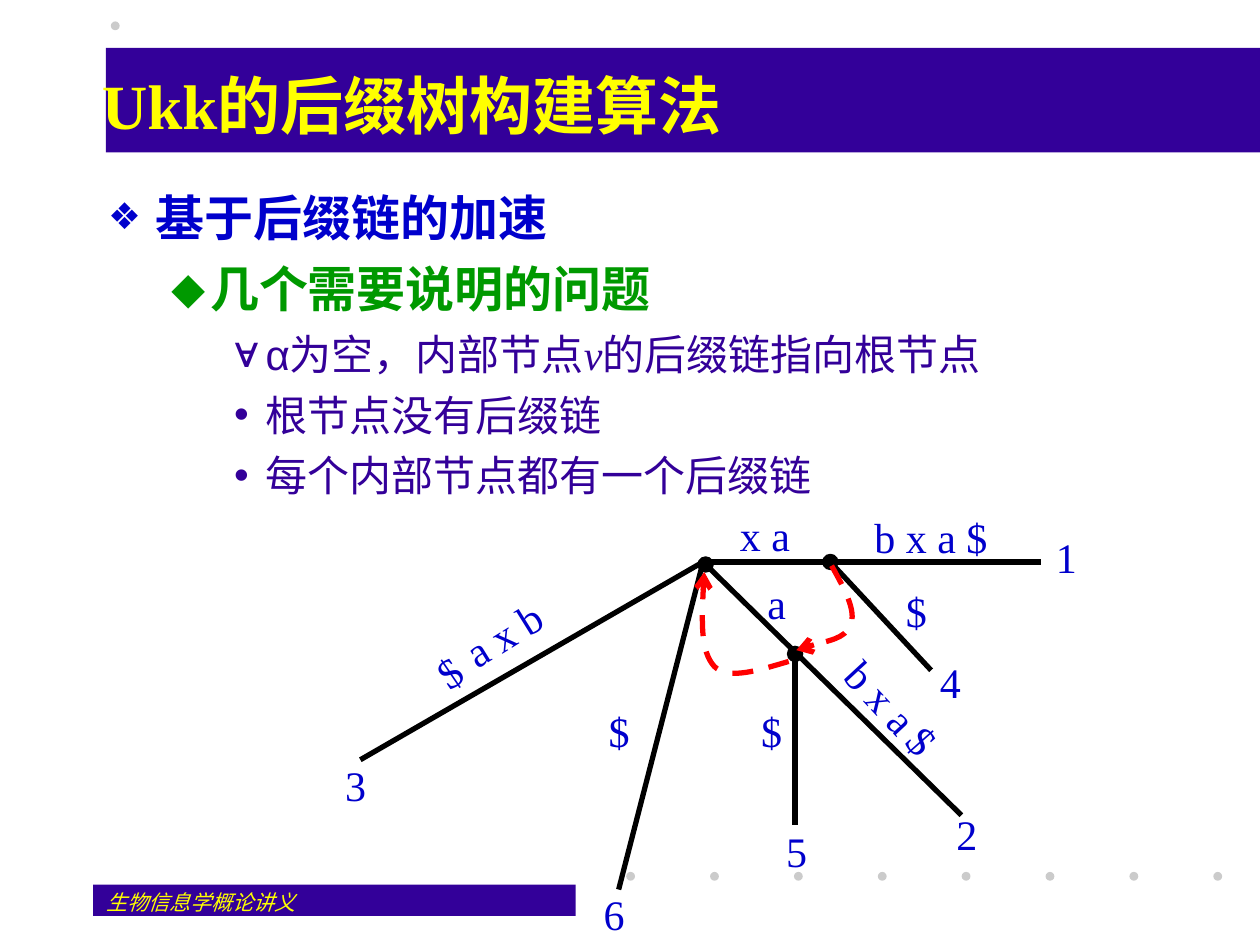
from lxml import etree
from pptx import Presentation, util as u
from pptx.dml.color import RGBColor
from pptx.enum import dml, shapes, text
from pptx.oxml.ns import qn

COLORS = {"indigo": "330099", "grey": "CBCBCB", "yellow": "FFFF00", "blue": "0000CC",
          "green": "009900", "black": "000000", "red": "FF0000"}
SERIF = "Times New Roman"


def rgb(name):
    return RGBColor.from_string(COLORS[name])


def write(box, pieces, size, color, align=None, bold=False, italic=False, margins=(0.1, 0.05), wrap=True):
    """Fill a text box with one paragraph in a single style."""
    frame = box.text_frame
    frame.word_wrap = wrap
    frame.margin_left = frame.margin_right = u.Inches(margins[0])
    frame.margin_top = frame.margin_bottom = u.Inches(margins[1])
    frame.text = pieces
    frame.paragraphs[0].alignment = align
    font = frame.paragraphs[0].runs[0].font
    font.name, font.size, font.bold, font.italic = SERIF, u.Pt(size), bold, italic
    font.color.rgb = rgb(color)
    return frame


prs = Presentation()
prs.slide_width, prs.slide_height = u.Inches(10), u.Inches(7.5)
slide = prs.slides.add_slide(prs.slide_layouts[6])
canvas = slide.shapes

# Bars and decorative dots
RECT, OVAL = shapes.MSO_SHAPE.RECTANGLE, shapes.MSO_SHAPE.OVAL
decor = [(RECT, 0.74, 7.02, 3.83, 0.25, "indigo"), (RECT, 0.84, 0.38, 9.16, 0.83, "indigo"),
         (OVAL, 0.88, 0.17, 0.07, 0.07, "grey")]
decor += [(OVAL, 4.97 + i * 4.66 / 7, 6.92, 0.07, 0.07, "grey") for i in range(8)]
for kind, left, top, width, height, color in decor:
    part = canvas.add_shape(kind, *map(u.Inches, (left, top, width, height)))
    part.shadow.inherit = False
    part.fill.solid()
    part.fill.fore_color.rgb = rgb(color)
    part.line.fill.background()

# Footer and title
footer = canvas.add_textbox(*map(u.Inches, (0.75, 7.01, 2.08, 0.25)))
write(footer, "生物信息学概论讲义", 12, "yellow", italic=True)
title = canvas.add_textbox(*map(u.Inches, (0.71, 0.33, 8.9, 1)))
write(title, "Ukk的后缀树构建算法", 36, "yellow", bold=True).vertical_anchor = text.MSO_ANCHOR.MIDDLE

# Outline: level, bullet, runs of (text, font, italic)
outline = [
    (0, "❖", [("基于后缀链的加速", SERIF, False)]),
    (1, "⬥", [("几个需要说明的问题", SERIF, False)]),
    (2, "∀", [("α", "Arial", False), ("为空，内部节点", SERIF, False), ("v", SERIF, True),
              ("的后缀链指向根节点", SERIF, False)]),
    (2, "•", [("根节点没有后缀链", SERIF, False)]),
    (2, "•", [("每个内部节点都有一个后缀链", SERIF, False)]),
]
# Level: indent, hanging, space before, bullet percent, size, colour, bold
levels = [(0.38, 0.38, 0, 75, 28, "blue", True),
          (0.81, 0.31, 7, 100, 28, "green", True),
          (1.25, 0.25, 6, 100, 24, "indigo", False)]
body = canvas.add_textbox(*map(u.Inches, (0.76, 1.44, 8.9, 5.38))).text_frame
body.word_wrap = True
for index, (level, bullet, pieces) in enumerate(outline):
    indent, hanging, before, percent, size, color, bold = levels[level]
    para = body.add_paragraph() if index else body.paragraphs[0]
    para.level = level
    para.space_before = u.Pt(before)
    props = para._p.get_or_add_pPr()
    props.set("marL", str(u.Inches(indent)))
    props.set("indent", str(-u.Inches(hanging)))
    bullet_color = etree.SubElement(props, qn("a:buClr"))
    etree.SubElement(bullet_color, qn("a:srgbClr"), val=COLORS[color])
    etree.SubElement(props, qn("a:buSzPct"), val=str(percent * 1000))
    etree.SubElement(props, qn("a:buFont"), typeface="Arial")
    etree.SubElement(props, qn("a:buChar"), char=bullet)
    for words, face, italic in pieces:
        run = para.add_run()
        run.text = words
        run.font.name, run.font.size = face, u.Pt(size)
        run.font.bold, run.font.italic = bold, italic
        run.font.color.rgb = rgb(color)

# Tree edges
root = (5.58, 4.46)
edges = [(root, (8.26, 4.46)), ((6.59, 4.46), (7.39, 5.32)), (root, (7.63, 6.47)),
         ((6.31, 5.21), (6.31, 6.55)), (root, (4.91, 7.06)), (root, (2.86, 6.03))]
for start, end in edges:
    edge = canvas.add_connector(shapes.MSO_CONNECTOR.STRAIGHT, *map(u.Inches, start + end))
    edge.line.color.rgb = rgb("black")
    edge.line.width = u.Pt(3)
    etree.SubElement(edge._element.spPr, qn("a:effectLst"))

# Internal nodes
for left, top in [(6.53, 4.4), (6.25, 5.13), (5.54, 4.42)]:
    node = canvas.add_shape(OVAL, *map(u.Inches, (left, top, 0.12, 0.12)))
    node.shadow.inherit = False
    node.fill.solid()
    node.fill.fore_color.rgb = rgb("black")
    node.line.color.rgb = rgb("black")
    node.line.width = u.Pt(0.75)

# Leaf numbers and edge labels: text, left, top, width, rotation
labels = [
    ("1", 8.38, 4.22, 0.17, 0), ("2", 7.59, 6.42, 0.17, 0), ("3", 2.74, 6.03, 0.17, 0),
    ("4", 7.46, 5.21, 0.17, 0), ("5", 6.24, 6.55, 0.17, 0), ("6", 4.79, 7.05, 0.17, 0),
    ("$", 7.19, 4.65, 0.17, 0), ("$", 6.04, 5.6, 0.17, 0), ("$", 4.83, 5.6, 0.17, 0),
    ("a", 6.09, 4.58, 0.15, 0), ("x a", 5.87, 4.04, 0.4, 0),
    ("b x a", 6.94, 4.06, 0.65, 0), ("$", 7.67, 4.06, 0.17, 0),
    ("b x a", 6.66, 5.36, 0.73, 47.2), ("$", 7.24, 5.68, 0.17, 48.5),
    ("a x b", 3.67, 4.83, 0.65, 328.1), ("$", 3.48, 5.13, 0.17, 325.8),
]
for words, left, top, width, rotation in labels:
    label = canvas.add_textbox(*map(u.Inches, (left, top, width, 0.4)))
    label.rotation = rotation
    align = text.PP_ALIGN.RIGHT if words == "x a" else None
    frame = write(label, words, 24, "blue", align, margins=(0, 0), wrap=False)
    frame.auto_size = text.MSO_AUTO_SIZE.SHAPE_TO_FIT_TEXT

# Suffix links: a start point, then two Bézier segments of three points each
links = [
    [(6.6, 4.49), (6.7, 4.67), (6.8, 4.85), (6.75, 4.96), (6.71, 5.07), (6.39, 5.13), (6.32, 5.16)],
    [(6.26, 5.25), (6.02, 5.32), (5.78, 5.4), (5.67, 5.29), (5.56, 5.17), (5.57, 4.85), (5.59, 4.54)],
]
for points in links:
    start, *rest = [(u.Inches(x), u.Inches(y)) for x, y in points]
    builder = canvas.build_freeform(*start)
    builder.add_line_segments(rest, close=False)
    link = builder.convert_to_shape()
    link.shadow.inherit = False
    link.fill.background()
    link.line.color.rgb = rgb("red")
    link.line.width = u.Pt(3)
    link.line.dash_style = dml.MSO_LINE.DASH
    etree.SubElement(link.line._get_or_add_ln(), qn("a:tailEnd"), type="arrow")
    outline_path = link._element.find(".//" + qn("a:path"))
    segments = outline_path.findall(qn("a:lnTo"))
    for first in range(0, len(segments), 3):
        curve = etree.SubElement(outline_path, qn("a:cubicBezTo"))
        for segment in segments[first:first + 3]:
            curve.append(segment[0])
            outline_path.remove(segment)

prs.save("out.pptx")
